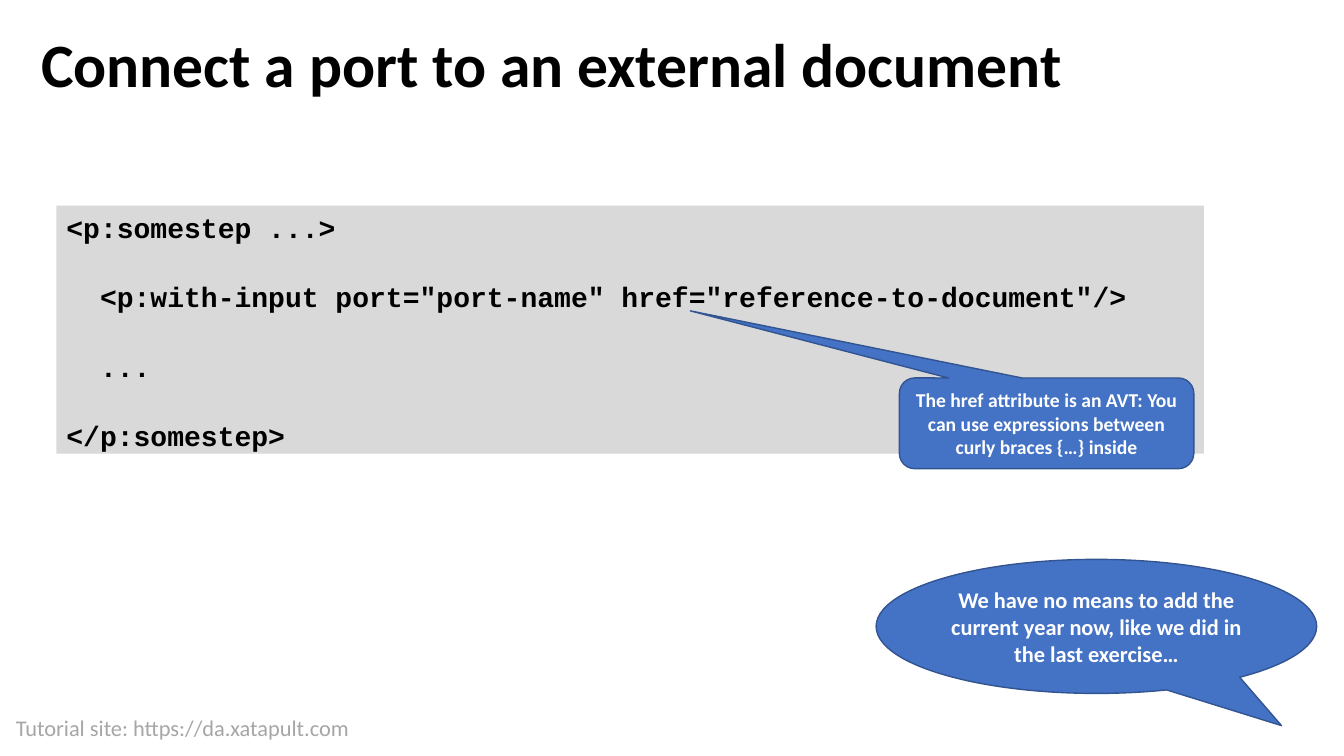
from pptx import Presentation, util as u
from pptx.dml.color import RGBColor
from pptx.enum import shapes, text

KIND = shapes.MSO_SHAPE
SIDE = text.PP_ALIGN
ROW = text.MSO_ANCHOR


def color(code):
    return RGBColor.from_string(code)


class Deck:
    sans = "Calibri"
    mono = "Courier New"
    blue = "4472C4"
    edge = "325491"
    gray = "D9D9D9"
    pale = "A6A6A6"
    black = "000000"
    white = "FFFFFF"

    def __init__(self):
        self.prs = Presentation()
        self.prs.slide_width = u.Inches(13.33)
        self.prs.slide_height = u.Inches(7.5)
        self.slide = self.prs.slides.add_slide(self.prs.slide_layouts[6])

    def area(self, left, top, width, height):
        wide, high = self.prs.slide_width, self.prs.slide_height
        return [int(share * full / 100) for share, full in
                zip((left, top, width, height), (wide, high, wide, high))]

    def letter(self, shape, lines, size, ink, font=sans, bold=True,
               align=SIDE.LEFT, anchor=ROW.MIDDLE, gap=0, pitch=None):
        frame = shape.text_frame
        frame.word_wrap = True
        frame.vertical_anchor = anchor
        for i, line in enumerate(lines):
            para = frame.add_paragraph() if i else frame.paragraphs[0]
            para.text = line
            para.alignment = align
            para.line_spacing = pitch
            if i:
                para.space_before = u.Pt(gap)
            para.font.name = font
            para.font.size = u.Pt(size)
            para.font.bold = bold
            para.font.color.rgb = color(ink)

    def label(self, area, line, size, ink, **style):
        box = self.slide.shapes.add_textbox(*self.area(*area))
        self.letter(box, [line], size, ink, **style)

    def block(self, kind, area, fill, line=None):
        shape = self.slide.shapes.add_shape(kind, *self.area(*area))
        shape.shadow.inherit = False
        shape.fill.solid()
        shape.fill.fore_color.rgb = color(fill)
        if line:
            shape.line.color.rgb = color(line)
            shape.line.width = u.Pt(1)
        else:
            shape.line.fill.background()
        return shape

    def code(self, area, lines):
        shape = self.block(KIND.RECTANGLE, area, self.gray)
        self.letter(shape, lines, 20, self.black, font=self.mono,
                    anchor=ROW.TOP, gap=25.5)

    def callout(self, kind, area, tip, line, size):
        shape = self.block(kind, area, self.blue, self.edge)
        for i, value in enumerate(tip):
            shape.adjustments[i] = value
        self.letter(shape, [line], size, self.white, align=SIDE.CENTER)


def main():
    deck = Deck()
    deck.label((0.45, 93.87, 33.08, 4.93),
               "Tutorial site: https://da.xatapult.com",
               16, deck.pale, bold=False, anchor=ROW.TOP)
    deck.label((2.33, 2.67, 95.35, 12.53),
               "Connect a port to an external document",
               44, deck.black, pitch=0.9)
    deck.code((4.2, 27.2, 85.37, 32.8), [
        "<p:somestep ...>",
        '  <p:with-input port="port-name" href="reference-to-document"/>',
        "  ...",
        "</p:somestep>",
    ])
    deck.callout(KIND.ROUNDED_RECTANGULAR_CALLOUT, (66.92, 50, 21.91, 12),
                 (-1.21, -1.24, 0.17),
                 "The href attribute is an AVT: You can use expressions "
                 "between curly braces {…} inside", 14)
    deck.callout(KIND.OVAL_CALLOUT, (65.19, 74, 32.78, 17.73),
                 (0.42, 0.74),
                 "We have no means to add the current year now, "
                 "like we did in the last exercise…", 16)
    deck.prs.save("out.pptx")


if __name__ == "__main__":
    main()
